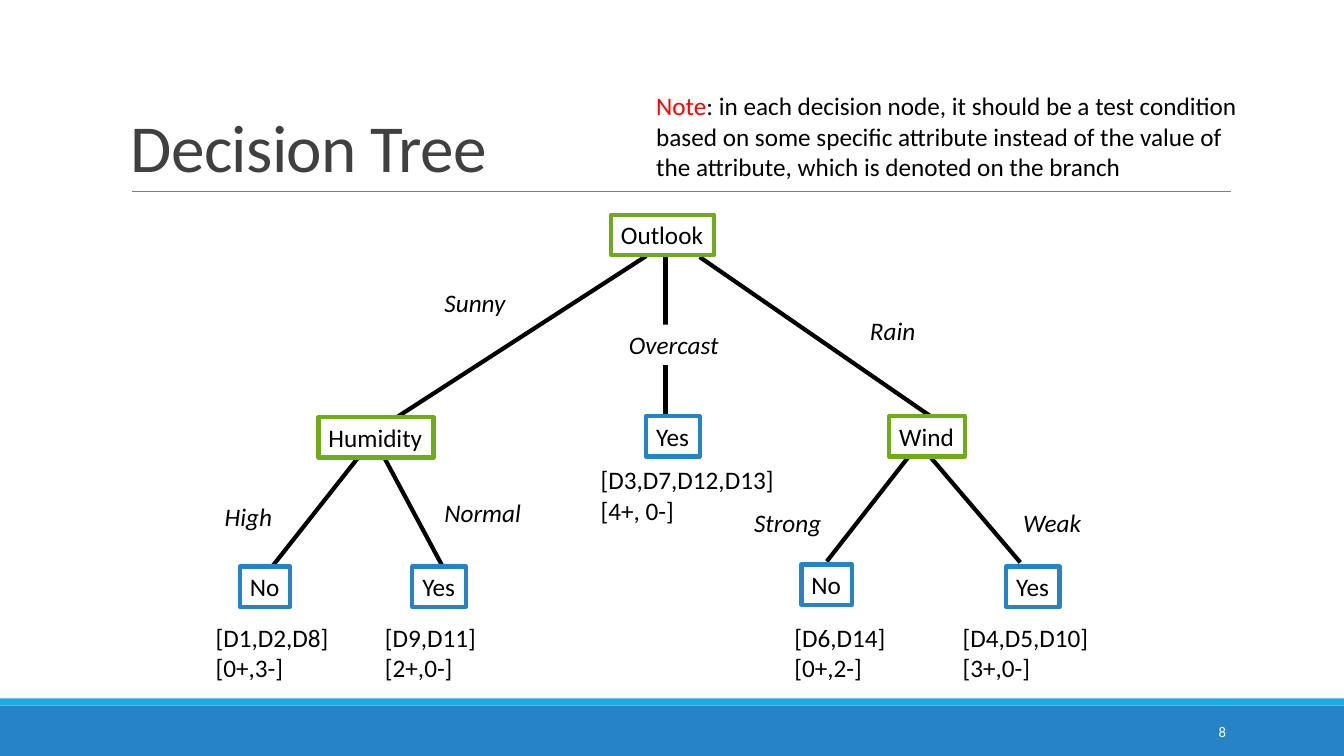
from lxml.etree import SubElement as Sub
from pptx import Presentation
from pptx.dml.color import RGBColor
from pptx.enum.shapes import MSO_CONNECTOR as Conn, MSO_SHAPE as Kind
from pptx.enum.text import MSO_ANCHOR as Anchor, MSO_AUTO_SIZE as Fit, PP_ALIGN as Align
from pptx.oxml.ns import qn
from pptx.util import Pt

PX = 9144
BLACK = RGBColor(0x00, 0x00, 0x00)
WHITE = RGBColor(0xFF, 0xFF, 0xFF)
DARK = RGBColor(0x40, 0x40, 0x40)
GRAY = RGBColor(0x80, 0x80, 0x80)
RED = RGBColor(0xFF, 0x00, 0x00)
GREEN = RGBColor(0x6E, 0xAC, 0x1C)
BLUE = RGBColor(0x26, 0x83, 0xC6)
CYAN = RGBColor(0x1C, 0xAD, 0xE4)

EDGES = [
    (441, 54, 195, 213), (494, 55, 723, 213), (156, 253, 70, 362),
    (179, 250, 239, 362), (719, 249, 812, 358), (706, 247, 620, 357),
    (460, 54, 460, 213),
]
TESTS = [("Outlook", 406, 13, 102), ("Humidity", 116, 214, 114), ("Wind", 682, 213, 75)]
LEAVES = [
    ("No", 38, 362, 50), ("Yes", 209, 362, 53), ("Yes", 441, 213, 53),
    ("Yes", 798, 362, 53), ("No", 595, 360, 50),
]
BRANCHES = [
    ("Sunny", 231, 80, 81), ("Overcast", 414, 122, 110), ("Rain", 653, 108, 66),
    ("High", 13, 292, 68), ("Normal", 231, 288, 97), ("Strong", 538, 298, 88),
    ("Weak", 805, 298, 78),
]
COUNTS = [
    ("[D3,D7,D12,D13]", "[4+, 0-]", 386, 256, 206),
    ("[D9,D11]", "[2+,0-]", 172, 412, 244),
    ("[D6,D14]", "[0+,2-]", 578, 412, 128),
    ("[D1,D2,D8]", "[0+,3-]", 4, 412, 153),
    ("[D4,D5,D10]", "[3+,0-]", 745, 412, 244),
]


def scale(*nums):
    """Turn px lengths into EMU."""
    return [num * PX for num in nums]


def add_run(para, text, size=18, color=BLACK, italic=False):
    """Add one styled run to a paragraph."""
    run = para.add_run()
    run.text = text
    font = run.font
    font.name, font.size, font.italic = "Calibri", Pt(size), italic
    font.color.rgb = color
    return run


def add_text(slide, box, anchor=Anchor.TOP, fit=Fit.SHAPE_TO_FIT_TEXT):
    """Add a wrapping text box and return its frame."""
    frame = slide.shapes.add_textbox(*scale(*box)).text_frame
    frame.word_wrap = True
    frame.auto_size = fit
    frame.vertical_anchor = anchor
    return frame


def add_rect(slide, box, fill, edge=None):
    """Add a flat rectangle with an optional outline."""
    rect = slide.shapes.add_shape(Kind.RECTANGLE, *scale(*box))
    rect.shadow.inherit = False
    rect.fill.solid()
    rect.fill.fore_color.rgb = fill
    if edge is None:
        rect.line.fill.background()
    else:
        rect.line.color.rgb = edge
        rect.line.width = Pt(3)
    return rect


def add_line(slide, ends, color, width):
    """Add a straight line without a shadow."""
    line = slide.shapes.add_connector(Conn.STRAIGHT, *scale(*ends))
    line.line.color.rgb = color
    line.line.width = Pt(width)
    Sub(line._element.spPr, qn("a:effectLst"))


def add_node(slide, box, text, edge=None, italic=False):
    """Add a white box that holds one unwrapped word."""
    frame = add_rect(slide, box, WHITE, edge).text_frame
    frame.word_wrap = False
    frame.auto_size = Fit.SHAPE_TO_FIT_TEXT
    frame.vertical_anchor = Anchor.TOP
    para = frame.paragraphs[0]
    para.alignment = Align.LEFT
    add_run(para, text, italic=italic)


def draw_footer(slide, box):
    """Draw the two bands and the page number."""
    x, y, w, h = box
    add_rect(slide, (x, y + 7, w, h - 7), BLUE)
    add_rect(slide, (x, y, w, 7), CYAN)
    frame = add_text(slide, (x + w - 250, y + 13, 143, 40), Anchor.MIDDLE, Fit.NONE)
    para = frame.paragraphs[0]
    para.alignment = Align.RIGHT
    add_run(para, "8", 10.5, WHITE)


def draw_header(slide, box):
    """Draw the title, its rule and the note."""
    x, y, w, h = box
    add_line(slide, (x + 11, y + h, x + w + 1, y + h), GRAY, 0.5)
    para = add_text(slide, box, Anchor.BOTTOM, Fit.NONE).paragraphs[0]
    para.line_spacing = 0.85
    title = add_run(para, "Decision Tree", 48, DARK)
    title.font._element.set("spc", "-50")
    note = add_text(slide, (x + 521, y + 54, 615, 101)).paragraphs[0]
    add_run(note, "Note", color=RED)
    add_run(note, ": in each decision node, it should be a test condition based on "
            "some specific attribute instead of the value of the attribute, "
            "which is denoted on the branch")


def draw_tree(slide, box):
    """Draw the edges, nodes, branch labels and leaf counts."""
    x, y = box[:2]
    for x1, y1, x2, y2 in EDGES:
        add_line(slide, (x + x1, y + y1, x + x2, y + y2), BLACK, 3)
    groups = [(BRANCHES, None, True), (TESTS, GREEN, False), (LEAVES, BLUE, False)]
    for group, edge, italic in groups:
        for text, dx, dy, w in group:
            add_node(slide, (x + dx, y + dy, w, 40), text, edge, italic)
    for days, tally, dx, dy, w in COUNTS:
        frame = add_text(slide, (x + dx, y + dy, w, 71))
        add_run(frame.paragraphs[0], days)
        add_run(frame.add_paragraph(), tally)


def main():
    """Build and save the slide."""
    deck = Presentation()
    deck.slide_width, deck.slide_height = scale(1333, 750)
    slide = deck.slides.add_slide(deck.slide_layouts[6])
    draw_footer(slide, (0, 693, 1333, 57))
    draw_header(slide, (120, 31, 1100, 159))
    draw_tree(slide, (200, 200, 989, 483))
    deck.save("out.pptx")


if __name__ == "__main__":
    main()
